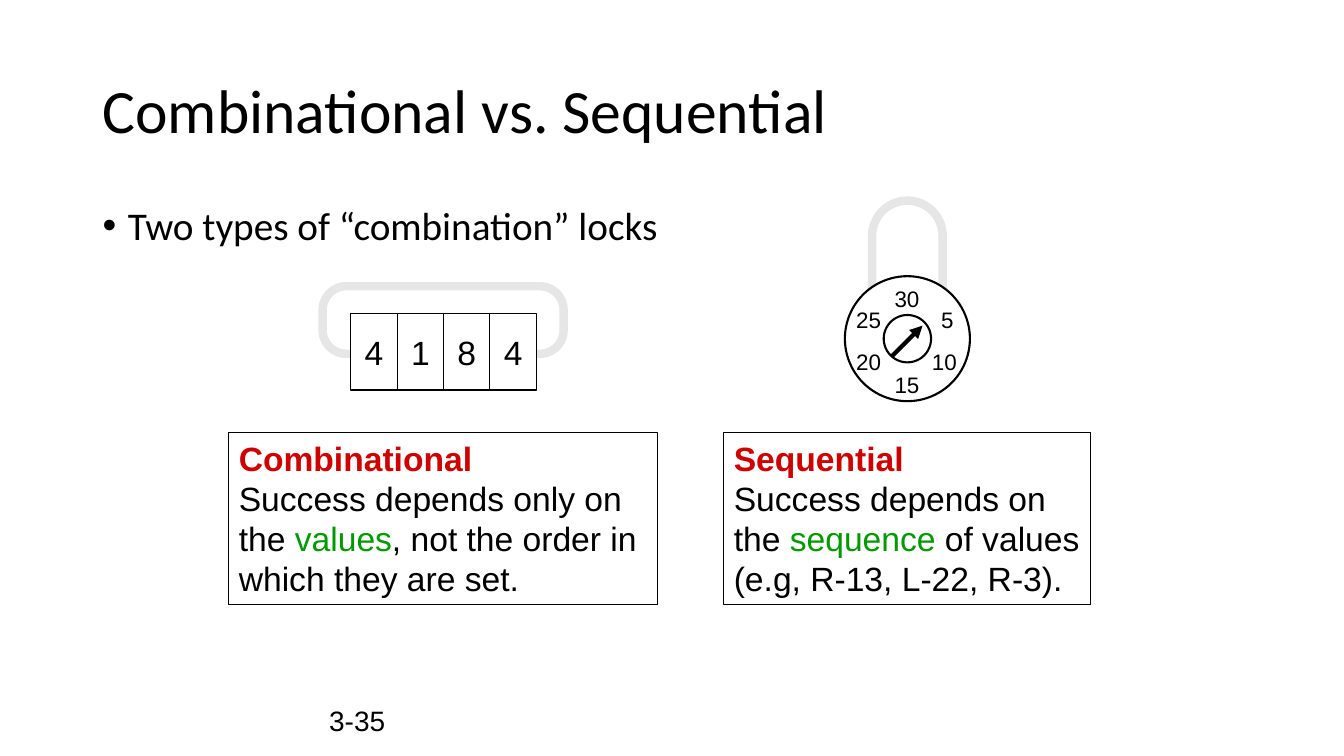
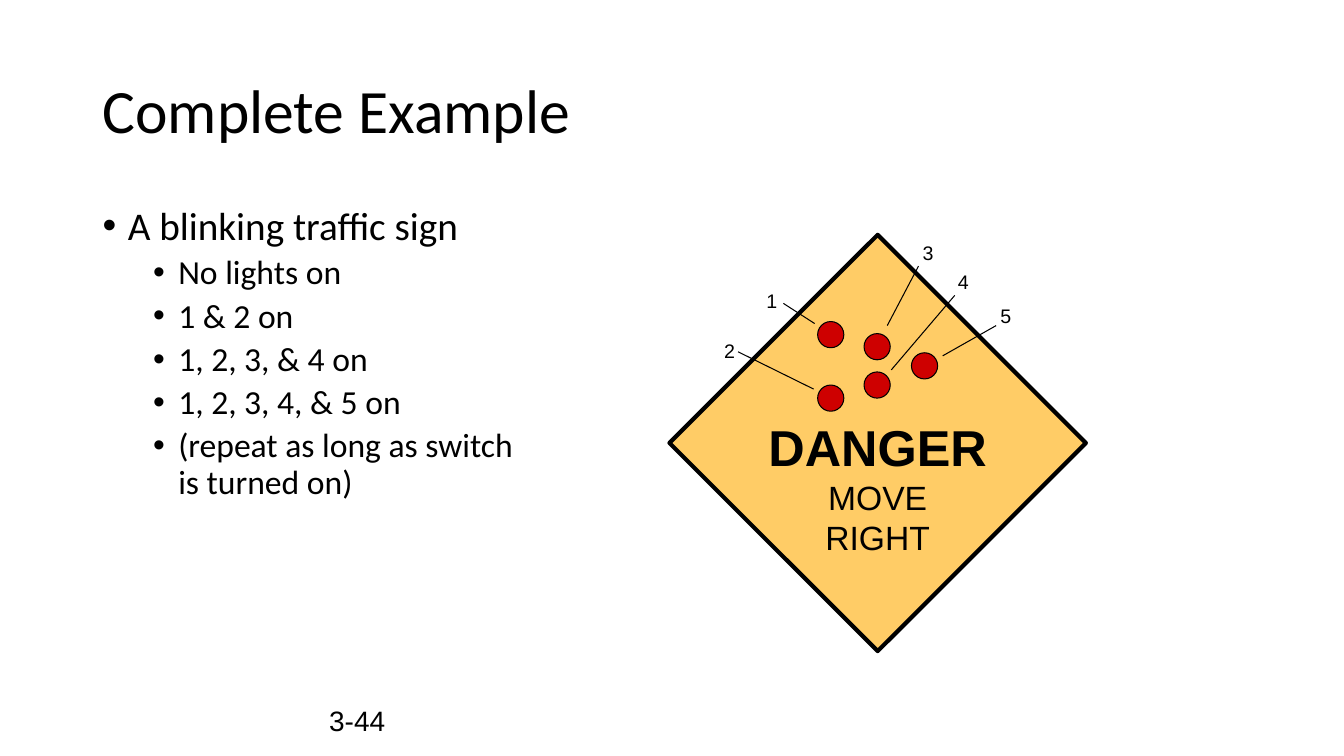
from lxml import etree
from pptx import Presentation
from pptx.dml.color import RGBColor
from pptx.enum.shapes import MSO_CONNECTOR, MSO_SHAPE as Kind
from pptx.enum.text import MSO_ANCHOR as Anchor, PP_ALIGN as Align
from pptx.oxml.ns import qn
from pptx.util import Inches, Pt

BLACK = RGBColor(0x00, 0x00, 0x00)
WHITE = RGBColor(0xFF, 0xFF, 0xFF)
GRAY = RGBColor(0xE7, 0xE6, 0xE6)
RED = RGBColor(0xCE, 0x00, 0x00)
GREEN = RGBColor(0x00, 0x99, 0x00)
AMBER = RGBColor(0xFF, 0xCC, 0x66)
HEAD, BODY = "Calibri", "Arial"


def draw(shapes, kind, box, fill=None, line=BLACK, width=0.75):
    """Add a shape, or a text box when kind is None; box is in inches."""
    place = [Inches(n) for n in box]
    if kind is None:
        return shapes.add_textbox(*place)
    shape = shapes.add_shape(kind, *place)
    shape.shadow.inherit = False
    if fill is None:
        shape.fill.background()
    else:
        shape.fill.solid()
        shape.fill.fore_color.rgb = fill
    shape.line.color.rgb = line
    shape.line.width = Pt(width)
    return shape


def write(shape, text, size, font=BODY, align=Align.CENTER,
          anchor=Anchor.TOP, wrap=False):
    """Fill a shape with black text, one paragraph a line."""
    frame = shape.text_frame
    frame.text = text
    frame.word_wrap = wrap
    frame.vertical_anchor = anchor
    for para in frame.paragraphs:
        para.alignment = align
        for run in para.runs:
            run.font.size = Pt(size)
            run.font.name = font
            run.font.color.rgb = BLACK
    return frame.paragraphs


deck = Presentation()
deck.slide_width, deck.slide_height = Inches(13.33), Inches(7.5)

# Title, bullets and page number of each slide
pages = [
    ("Combinational vs. Sequential", "3-35",
     ["Two types of “combination” locks"]),
    ("Complete Example", "3-44",
     ["A blinking traffic sign", "No lights on", "1 & 2 on",
      "1, 2, 3, & 4 on", "1, 2, 3, 4, & 5 on",
      "(repeat as long as switch\vis turned on)"]),
]
slides = []
for title, number, points in pages:
    slide = deck.slides.add_slide(deck.slide_layouts[6])
    slides.append(slide.shapes)
    foot = draw(slide.shapes, None, (0.92, 6.95, 3, 0.4))
    write(foot, number, 20, align=Align.RIGHT, anchor=Anchor.MIDDLE)
    foot.text_frame.word_wrap = True
    head = draw(slide.shapes, None, (0.92, 0.4, 11.5, 1.45))
    paras = write(head, title, 44, HEAD, Align.LEFT, Anchor.MIDDLE, True)
    paras[0].line_spacing = 0.9
    body = draw(slide.shapes, None, (0.92, 2, 11.5, 4.76))
    body.text_frame.word_wrap = True
    for level, point in enumerate(points):
        sub = level > 0
        frame = body.text_frame
        para = frame.add_paragraph() if sub else frame.paragraphs[0]
        para.text = point
        para.level = int(sub)
        para.line_spacing = 0.9
        if sub:
            para.space_before = Pt(5)
        props = para._p.get_or_add_pPr()
        props.set("marL", str(Inches(0.75 if sub else 0.25)))
        props.set("indent", str(Inches(-0.25)))
        etree.SubElement(props, qn("a:buFont")).set("typeface", "Arial")
        etree.SubElement(props, qn("a:buChar")).set("char", "•")
        for run in para.runs:
            run.font.size = Pt(24 if sub else 28)
            run.font.name = HEAD
            run.font.color.rgb = BLACK
locks, sign = slides

# Lock with four digits
lock = locks.add_group_shape().shapes
loop = draw(lock, Kind.ROUNDED_RECTANGLE, (3.2, 2.84, 2.39, 0.67),
            line=GRAY, width=6)
loop.adjustments[0] = 0.35
for i, digit in enumerate("4184"):
    cell = draw(lock, Kind.RECTANGLE, (3.48 + 0.46 * i, 3.11, 0.46, 0.76),
                WHITE)
    write(cell, digit, 24, anchor=Anchor.MIDDLE)

# Lock with a dial
dial = locks.add_group_shape().shapes
loop = draw(dial, Kind.ROUNDED_RECTANGLE, (8.65, 1.99, 0.7, 1.23),
            WHITE, GRAY, 6)
loop.adjustments[0] = 0.5
for size in (1.24, 0.47):
    draw(dial, Kind.OVAL, (9 - size / 2, 3.36 - size / 2, size, size),
         WHITE, width=1.5)
marks = [("30", 8.77, 2.78), ("15", 8.77, 3.63), ("5", 9.17, 2.99),
         ("10", 9.14, 3.4), ("20", 8.39, 3.4), ("25", 8.39, 2.99)]
for mark, x, y in marks:
    write(draw(dial, None, (x, y, 0.45, 0.37)), mark, 16)

# Notes: red heading, green word between bars
notes = [
    (2.27, 4.25, "Combinational",
     ["Success depends only on the |values|, not the order in which "
      "they are set."]),
    (7.18, 3.64, "Sequential",
     ["Success depends on the |sequence| of values",
      "(e.g, R-13, L-22, R-3)."]),
]
for x, width, name, lines in notes:
    note = draw(locks, Kind.RECTANGLE, (x, 4.29, width, 1.71))
    paras = write(note, name, 24, align=Align.LEFT, wrap=True)
    note.text_frame.margin_right = Inches(0.05)
    paras[0].runs[0].font.bold = True
    paras[0].runs[0].font.color.rgb = RED
    for line in lines:
        para = note.text_frame.add_paragraph()
        para.alignment = Align.LEFT
        for i, part in enumerate(line.split("|")):
            run = para.add_run()
            run.text = part
            run.font.size = Pt(24)
            run.font.name = BODY
            run.font.color.rgb = GREEN if i % 2 else BLACK

# Traffic sign with numbered lights
draw(sign, Kind.DIAMOND, (6.64, 2.33, 4.13, 4.13), AMBER, width=3)
paras = write(draw(sign, None, (7.52, 4.08, 2.37, 1.5)),
              "DANGER\nMOVE\nRIGHT", 24)
paras[0].runs[0].font.size = Pt(36)
paras[0].runs[0].font.bold = True
lamps = sign.add_group_shape().shapes
for x, y in [(8.11, 3.19), (8.11, 3.82), (8.57, 3.31), (8.57, 3.69),
             (9.04, 3.5)]:
    draw(lamps, Kind.OVAL, (x, y, 0.26, 0.26), RED)
tags = [(7.5, 2.82), (7.08, 3.31), (9.05, 2.34), (9.4, 2.63), (9.82, 2.97)]
for i, (x, y) in enumerate(tags, 1):
    write(draw(sign, None, (x, y, 0.31, 0.33)), str(i), 14)

# Dial hand, then the leads from numbers to lights
links = [
    (dial, 3, (8.85, 3.53, 9.15, 3.23)),
    (sign, 0.75, (7.77, 3.01, 8.08, 3.21)),
    (sign, 0.75, (7.32, 3.49, 8.07, 3.86)),
    (sign, 0.75, (9.11, 2.64, 8.8, 3.23)),
    (sign, 0.75, (9.47, 2.93, 8.84, 3.67)),
    (sign, 0.75, (9.88, 3.23, 9.35, 3.53)),
]
for shapes, width, ends in links:
    link = shapes.add_connector(MSO_CONNECTOR.STRAIGHT,
                                *[Inches(n) for n in ends])
    link.line.color.rgb = BLACK
    link.line.width = Pt(width)
    if shapes is dial:
        tip = etree.SubElement(link.line._get_or_add_ln(), qn("a:tailEnd"))
        tip.set("type", "triangle")
    etree.SubElement(link._element.spPr, qn("a:effectLst"))

deck.save("out.pptx")
